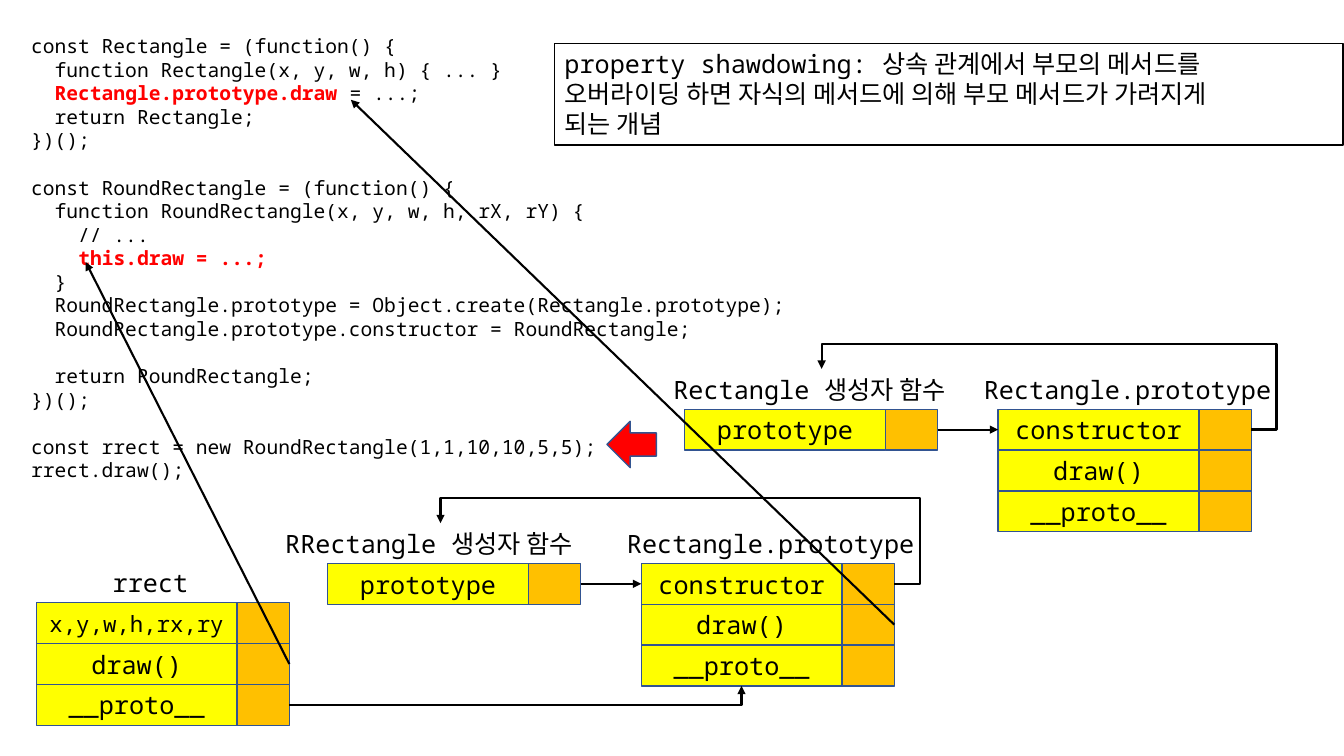
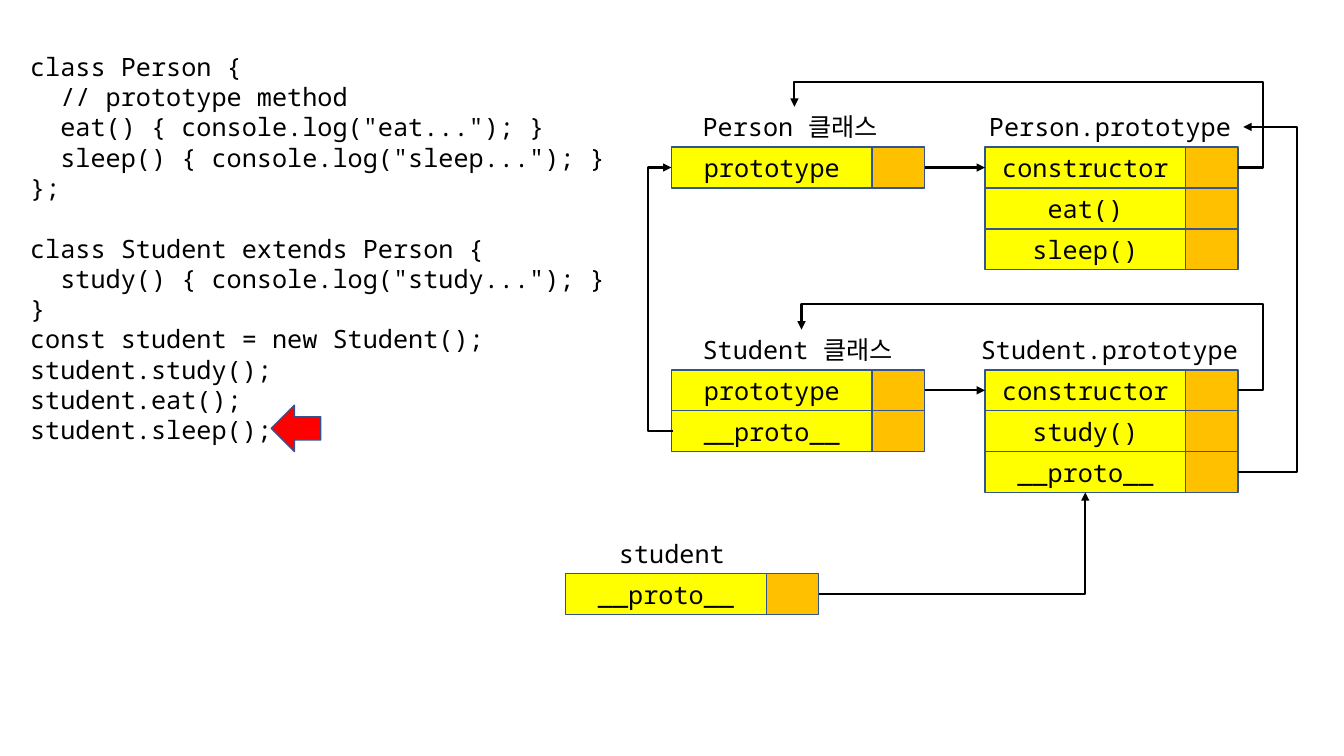
from dataclasses import dataclass

from lxml import etree
from pptx import Presentation
from pptx.dml.color import RGBColor
from pptx.enum.shapes import MSO_CONNECTOR, MSO_SHAPE
from pptx.enum.text import MSO_ANCHOR, MSO_AUTO_SIZE, PP_ALIGN
from pptx.oxml.ns import qn
from pptx.util import Inches, Pt

# Enum members
RECTANGLE, LEFT_ARROW = MSO_SHAPE.RECTANGLE, MSO_SHAPE.LEFT_ARROW
STRAIGHT, ELBOW = MSO_CONNECTOR.STRAIGHT, MSO_CONNECTOR.ELBOW
MIDDLE, CENTER = MSO_ANCHOR.MIDDLE, PP_ALIGN.CENTER
GROW = MSO_AUTO_SIZE.SHAPE_TO_FIT_TEXT

# Shared style
BLACK = RGBColor(0x00, 0x00, 0x00)
WHITE = RGBColor(0xFF, 0xFF, 0xFF)
RED = RGBColor(0xFF, 0x00, 0x00)
YELLOW = RGBColor(0xFF, 0xFF, 0x00)
ORANGE = RGBColor(0xFF, 0xC0, 0x00)
NAVY = RGBColor(0x32, 0x54, 0x91)
FONT = "Noto Sans Mono"
BODY_SIZE = 18
LINE_HEIGHT = 1.21

# Object diagram measures, in inches
NAME_WIDTH = 1.99
VALUE_WIDTH = 0.52
ROW_HEIGHT = 0.81 / 2
LABEL_HEIGHT = 0.4
CLEARANCE = 0.25

# Code listings: blocks are separated by one empty line
RECTANGLE_CODE = [
    """const Rectangle = (function() {
  function Rectangle(x, y, w, h) { ... }
  Rectangle.prototype.draw = ...;
  return Rectangle;
})();""",
    """const RoundRectangle = (function() {
  function RoundRectangle(x, y, w, h, rX, rY) {
    // ...
    this.draw = ...;
  }
  RoundRectangle.prototype = Object.create(Rectangle.prototype);
  RoundRectangle.prototype.constructor = RoundRectangle;""",
    """  return RoundRectangle;
})();""",
    """const rrect = new RoundRectangle(1,1,10,10,5,5);
rrect.draw();""",
]
PERSON_CODE = [
    """class Person {
  // prototype method
  eat() { console.log("eat..."); }
  sleep() { console.log("sleep..."); }
};""",
    """class Student extends Person {
  study() { console.log("study..."); }
}
const student = new Student();
student.study();
student.eat();
student.sleep();""",
]
SHADOWING_NOTE = """property shawdowing: 상속 관계에서 부모의 메서드를
오버라이딩 하면 자식의 메서드에 의해 부모 메서드가 가려지게
되는 개념"""


@dataclass(frozen=True)
class ObjectBox:
    """Edges of a drawn object, where links start and end."""
    left: float
    top: float
    row_count: int

    def row_middle(self, row):
        return self.top + (row + 0.5) * ROW_HEIGHT

    def entry(self, row):
        return self.left, self.row_middle(row)

    def exit(self, row):
        return self.left + NAME_WIDTH + VALUE_WIDTH, self.row_middle(row)

    def bottom(self):
        return self.left + NAME_WIDTH / 2, self.top + self.row_count * ROW_HEIGHT


def style_paragraph(paragraph, size=BODY_SIZE):
    paragraph.font.name = FONT
    paragraph.font.size = Pt(size)
    paragraph.font.color.rgb = BLACK


def add_text(slide, left, top, width, height, blocks, size=BODY_SIZE, highlights=()):
    box = slide.shapes.add_textbox(Inches(left), Inches(top), Inches(width), Inches(height))
    frame = box.text_frame
    frame.word_wrap = False
    frame.auto_size = GROW
    paragraph = None
    for block in blocks:
        for number, line in enumerate(block.split("\n")):
            first = paragraph is None
            paragraph = frame.paragraphs[0] if first else frame.add_paragraph()
            style_paragraph(paragraph, size)
            if number == 0 and not first:
                paragraph.space_before = Pt(round(size * LINE_HEIGHT, 1))
            add_code_line(paragraph, line, highlights)
    return box


def add_code_line(paragraph, line, highlights):
    phrase = next((text for text in highlights if text in line), "")
    before, marked, after = line.partition(phrase) if phrase else (line, "", "")
    for text in filter(None, (before, marked, after)):
        run = paragraph.add_run()
        run.text = text
        if text == phrase:
            run.font.bold = True
            run.font.color.rgb = RED


def add_block(shapes, kind, left, top, width, height, fill):
    block = shapes.add_shape(kind, Inches(left), Inches(top), Inches(width), Inches(height))
    block.shadow.inherit = False
    block.fill.solid()
    block.fill.fore_color.rgb = fill
    block.line.color.rgb = NAVY
    block.line.width = Pt(1)
    return block


def add_object(slide, left, top, rows, label, label_left, label_width, sizes=None):
    """Draw a labelled stack of property rows."""
    add_text(slide, label_left, top - LABEL_HEIGHT, label_width, LABEL_HEIGHT, [label])
    group = slide.shapes.add_group_shape()
    for row, name in enumerate(rows):
        row_top = top + row * ROW_HEIGHT
        name_cell = add_block(group.shapes, RECTANGLE, left, row_top,
                              NAME_WIDTH, ROW_HEIGHT, YELLOW)
        add_block(group.shapes, RECTANGLE, left + NAME_WIDTH, row_top,
                  VALUE_WIDTH, ROW_HEIGHT, ORANGE)
        frame = name_cell.text_frame
        frame.vertical_anchor = MIDDLE
        paragraph = frame.paragraphs[0]
        paragraph.text = name
        paragraph.alignment = CENTER
        style_paragraph(paragraph, (sizes or {}).get(name, BODY_SIZE))
    return ObjectBox(left, top, len(rows))


def add_link(slide, start, end, kind=STRAIGHT):
    link = slide.shapes.add_connector(kind, *(Inches(value) for value in (*start, *end)))
    link.line.color.rgb = BLACK
    link.line.width = Pt(1.5)
    properties = link.element.spPr
    outline = properties.find(qn("a:ln"))
    etree.SubElement(outline, qn("a:tailEnd"), type="triangle")
    etree.SubElement(properties, qn("a:effectLst"))
    return link


def add_bent_link(slide, start, end, turn_x=None, turn_y=None):
    """Bend once, or detour through the given turning lines."""
    link = add_link(slide, start, end, ELBOW)
    turns = [(turn - begin) / (finish - begin)
             for turn, begin, finish in zip((turn_x, turn_y), start, end)
             if turn is not None]
    geometry = link.element.spPr.find(qn("a:prstGeom"))
    geometry.set("prst", f"bentConnector{2 + len(turns)}")
    guides = geometry.find(qn("a:avLst"))
    for number, turn in enumerate(turns, start=1):
        etree.SubElement(guides, qn("a:gd"), name=f"adj{number}",
                         fmla=f"val {round(turn * 100000)}")


def link_constructor(slide, owner, prototype, label_x):
    """Link a function to its prototype and the constructor back to it."""
    add_link(slide, owner.exit(0), prototype.entry(0))
    start = prototype.exit(0)
    end = (label_x, owner.top - LABEL_HEIGHT)
    add_bent_link(slide, start, end, start[0] + CLEARANCE, end[1] - CLEARANCE)


def add_marker(slide, left, top):
    add_block(slide.shapes, LEFT_ARROW, left, top, 0.49, 0.46, RED)


def build_shadowing_slide(slide):
    add_text(slide, 0.21, 0.29, 7.72, 4.58, RECTANGLE_CODE, 14,
             ("Rectangle.prototype.draw", "this.draw = ...;"))

    # Objects
    prototype_rows = ["constructor", "draw()", "__proto__"]
    rectangle = add_object(slide, 6.79, 4.06, ["prototype"],
                           "Rectangle 생성자 함수", 6.58, 3.12)
    rectangle_prototype = add_object(slide, 9.9, 4.06, prototype_rows,
                                     "Rectangle.prototype", 9.66, 3.07)
    round_rectangle = add_object(slide, 3.25, 5.59, ["prototype"],
                                 "RRectangle 생성자 함수", 2.73, 3.27)
    round_prototype = add_object(slide, 6.36, 5.59, prototype_rows,
                                 "Rectangle.prototype", 6.12, 3.07)
    rrect = add_object(slide, 0.36, 5.98, ["x,y,w,h,rx,ry", "draw()", "__proto__"],
                       "rrect", 1.02, 0.96, {"x,y,w,h,rx,ry": 16})
    add_marker(slide, 6.02, 4.18)

    # Links
    link_constructor(slide, rectangle, rectangle_prototype, 8.15)
    link_constructor(slide, round_rectangle, round_prototype, 4.37)
    add_bent_link(slide, rrect.exit(2), round_prototype.bottom())
    add_link(slide, round_prototype.exit(1), (3.48, 0.99))
    add_link(slide, rrect.exit(1), (0.85, 2.6))

    # Definition
    note = add_text(slide, 5.5, 0.43, 7.82, 1.01, [SHADOWING_NOTE])
    note.fill.solid()
    note.fill.fore_color.rgb = WHITE
    note.line.color.rgb = BLACK
    note.line.width = Pt(1)


def build_class_slide(slide):
    add_text(slide, 0.2, 0.46, 5.93, 4.04, PERSON_CODE)
    add_marker(slide, 2.69, 4.02)

    # Objects
    person = add_object(slide, 6.66, 1.46, ["prototype"], "Person 클래스", 6.87, 2.01)
    person_prototype = add_object(slide, 9.77, 1.46, ["constructor", "eat()", "sleep()"],
                                  "Person.prototype", 9.71, 2.61)
    student_class = add_object(slide, 6.66, 3.67, ["prototype", "__proto__"],
                               "Student 클래스", 6.87, 2.17)
    student_prototype = add_object(slide, 9.77, 3.67, ["constructor", "study()", "__proto__"],
                                   "Student.prototype", 9.63, 2.76)
    student = add_object(slide, 5.61, 5.69, ["__proto__"], "student", 6.04, 1.26)

    # Links
    link_constructor(slide, person, person_prototype, 7.88)
    link_constructor(slide, student_class, student_prototype, 7.95)
    add_bent_link(slide, student_prototype.exit(2), (12.33, 1.26), turn_x=12.86)
    add_bent_link(slide, (6.68, student_class.row_middle(1)), person.entry(0), turn_x=6.43)
    add_bent_link(slide, student.exit(0), student_prototype.bottom())


def main():
    deck = Presentation()
    deck.slide_width, deck.slide_height = Inches(13.33), Inches(7.5)
    blank_layout = deck.slide_layouts[6]
    for build in (build_shadowing_slide, build_class_slide):
        build(deck.slides.add_slide(blank_layout))
    deck.save("out.pptx")


main()
